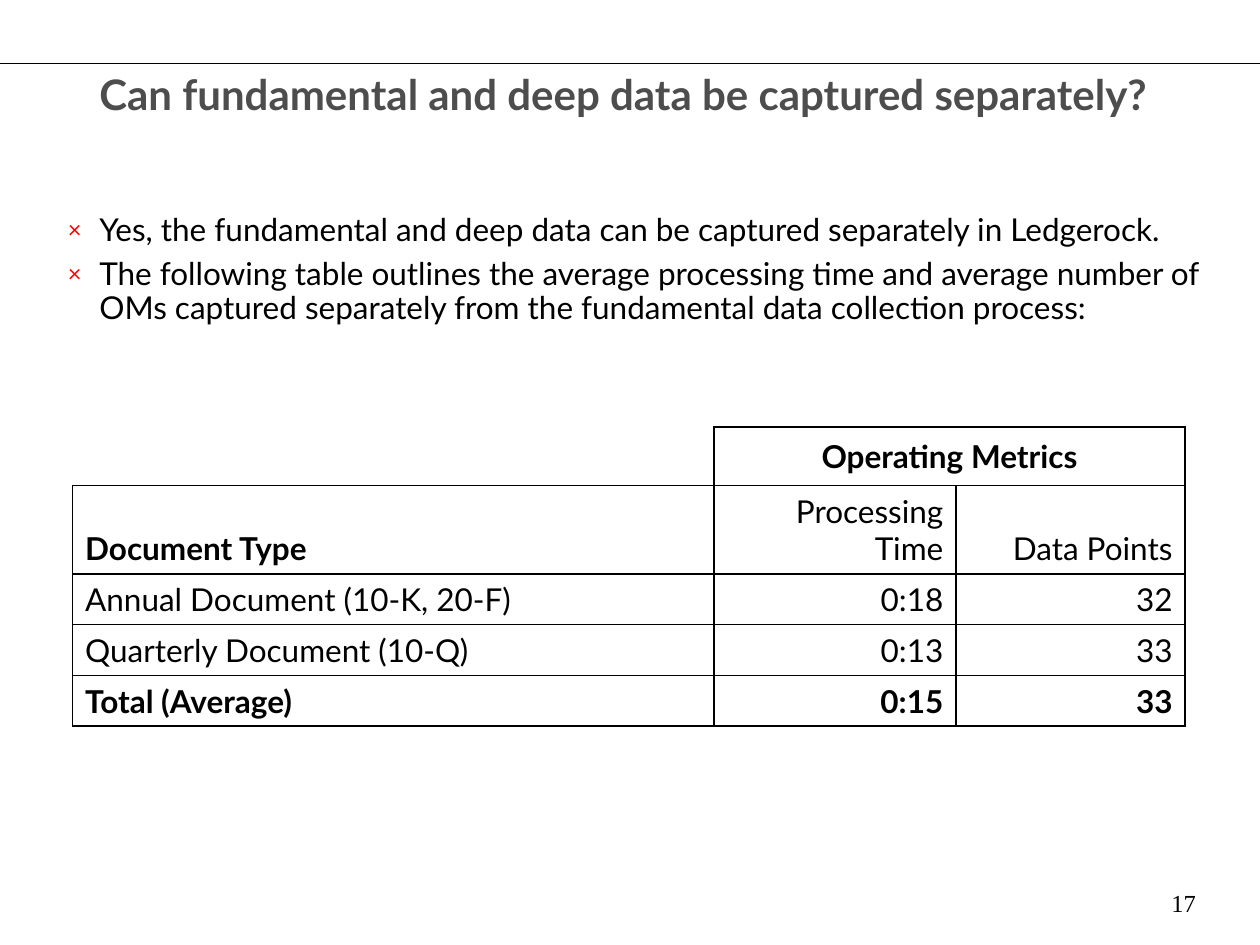
"""Build a slide on capturing fundamental and deep data separately."""
from lxml import etree
from pptx import Presentation
from pptx import util as u
from pptx.dml.color import RGBColor
from pptx.enum import shapes, text
from pptx.oxml import ns

COLORS = {"ink": "000000", "title": "4D4D4D", "bullet": "FF0000"}
FONT = "Lato"
ALIGN, ANCHOR = text.PP_ALIGN, text.MSO_ANCHOR
BORDER, THIN_BORDER = 0.96, 0.45
COLUMN_WIDTHS = [366.5, 138.25, 131]
ROW_HEIGHTS = [33.5, 50.5, 29, 29, 29]
ROWS = [
    ["", "Operating Metrics", ""],
    ["Document Type", "Processing Time", "Data Points"],
    ["Annual Document (10-K, 20-F)", "0:18", "32"],
    ["Quarterly Document (10-Q)", "0:13", "33"],
    ["Total (Average)", "0:15", "33"],
]
BULLETS = [
    "Yes, the fundamental and deep data can be captured separately in Ledgerock.",
    "The following table outlines the average processing time and average number of "
    "OMs captured separately from the fundamental data collection process:",
]


def add_element(parent, tag, **attributes):
    """Append a DrawingML element with the given attributes."""
    element = etree.SubElement(parent, ns.qn(tag))
    for name, value in attributes.items():
        element.set(name, str(value))
    return element


def style_font(paragraph, size, color="ink", bold=False, name=FONT):
    """Set the font of a whole paragraph."""
    font = paragraph.font
    font.size, font.bold, font.name = u.Pt(size), bold, name
    font.color.rgb = RGBColor.from_string(COLORS[color])


def hang_indent(paragraph):
    """Give a paragraph a quarter-inch hanging indent."""
    properties = paragraph._p.get_or_add_pPr()
    properties.set("marL", str(u.Pt(18)))
    properties.set("indent", str(u.Pt(-18)))
    return properties


def add_text_box(slide, left, top, width, height, anchor=ANCHOR.TOP):
    """Add a wrapping text box and return its text frame."""
    box = slide.shapes.add_textbox(u.Pt(left), u.Pt(top), u.Pt(width), u.Pt(height))
    frame = box.text_frame
    frame.word_wrap, frame.vertical_anchor = True, anchor
    return frame


def add_rule(slide, y):
    """Draw a hairline across the slide."""
    rule = slide.shapes.add_connector(
        shapes.MSO_CONNECTOR.STRAIGHT, u.Pt(0), u.Pt(y), u.Pt(720), u.Pt(y))
    rule.line.width = u.Pt(0.25)
    rule.line.color.rgb = RGBColor.from_string(COLORS["ink"])
    add_element(rule._element.spPr, "a:effectLst")


def add_title(slide):
    """Add the slide title."""
    frame = add_text_box(slide, 49.7, 8.6, 635.8, 90, ANCHOR.MIDDLE)
    paragraph = frame.paragraphs[0]
    paragraph.text = "Can fundamental and deep data be captured separately?"
    style_font(paragraph, 24, "title", True)


def add_bullets(slide):
    """Add the bulleted statements above the table."""
    frame = add_text_box(slide, 31.7, 118.8, 665.3, 110)
    for index, statement in enumerate(BULLETS):
        paragraph = frame.add_paragraph() if index else frame.paragraphs[0]
        paragraph.text = statement
        paragraph.line_spacing = 0.9
        if index:
            paragraph.space_before = u.Pt(5.6)
        properties = hang_indent(paragraph)
        color = add_element(properties, "a:buClr")
        add_element(color, "a:srgbClr", val=COLORS["bullet"])
        add_element(properties, "a:buSzPct", val=75000)
        add_element(properties, "a:buFont", typeface=FONT)
        add_element(properties, "a:buChar", char="×")
        style_font(paragraph, 18)


def set_borders(cell, row, column):
    """Draw cell borders, leaving the outer sides of the empty corner open."""
    widths = {"L": BORDER, "R": BORDER, "T": BORDER, "B": BORDER}
    if row == column == 0:
        widths["L"] = widths["T"] = 0
    if row == 2:
        widths["B"] = THIN_BORDER
    if row == 3:
        widths["T"] = THIN_BORDER
    properties = cell._tc.get_or_add_tcPr()
    for side, width in widths.items():
        line = add_element(properties, f"a:ln{side}", w=u.Pt(width))
        if width:
            fill = add_element(line, "a:solidFill")
            add_element(fill, "a:srgbClr", val=COLORS["ink"])
        else:
            add_element(line, "a:noFill")


def fill_cell(cell, row, column):
    """Write and style one table cell."""
    cell.vertical_anchor = ANCHOR.BOTTOM if row == 1 else ANCHOR.MIDDLE
    set_borders(cell, row, column)
    cell.fill.background()
    paragraph = cell.text_frame.paragraphs[0]
    paragraph.text = ROWS[row][column]
    hang_indent(paragraph)
    if column:
        paragraph.alignment = ALIGN.RIGHT if row else ALIGN.CENTER
    style_font(paragraph, 18, bold=row in (0, 4) or (row, column) == (1, 0))


def add_metrics_table(slide):
    """Add the table of operating metrics."""
    frame = slide.shapes.add_table(
        len(ROWS), len(COLUMN_WIDTHS), u.Pt(41.5), u.Pt(244),
        u.Pt(sum(COLUMN_WIDTHS)), u.Pt(sum(ROW_HEIGHTS)))
    table = frame.table
    table.first_row = table.horz_banding = False
    for column, width in zip(table.columns, COLUMN_WIDTHS):
        column.width = u.Pt(width)
    for row, height in zip(table.rows, ROW_HEIGHTS):
        row.height = u.Pt(height)
    for row in range(len(ROWS)):
        for column in range(len(COLUMN_WIDTHS)):
            fill_cell(table.cell(row, column), row, column)
    table.cell(0, 1).merge(table.cell(0, 2))


def add_page_number(slide):
    """Add the page number at the lower right."""
    paragraph = add_text_box(slide, 516.2, 504, 174.3, 36).paragraphs[0]
    paragraph.text = "17"
    paragraph.alignment = ALIGN.RIGHT
    style_font(paragraph, 14, name="Times New Roman")


def main():
    """Build and save the presentation."""
    presentation = Presentation()
    presentation.slide_width, presentation.slide_height = u.Pt(720), u.Pt(540)
    slide = presentation.slides.add_slide(presentation.slide_layouts[6])
    add_rule(slide, 36)
    add_title(slide)
    add_metrics_table(slide)
    add_bullets(slide)
    add_page_number(slide)
    presentation.save("out.pptx")


if __name__ == "__main__":
    main()
